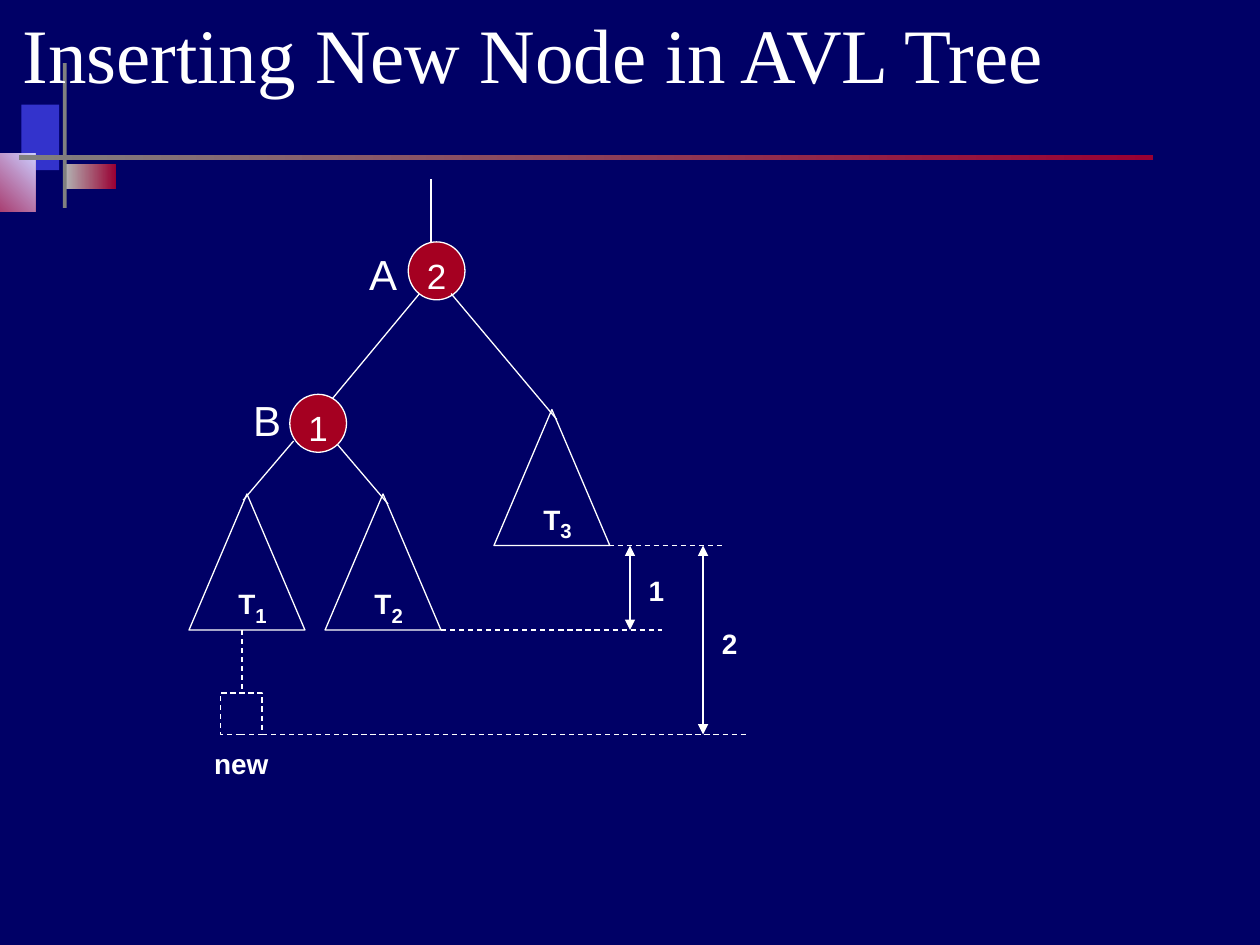
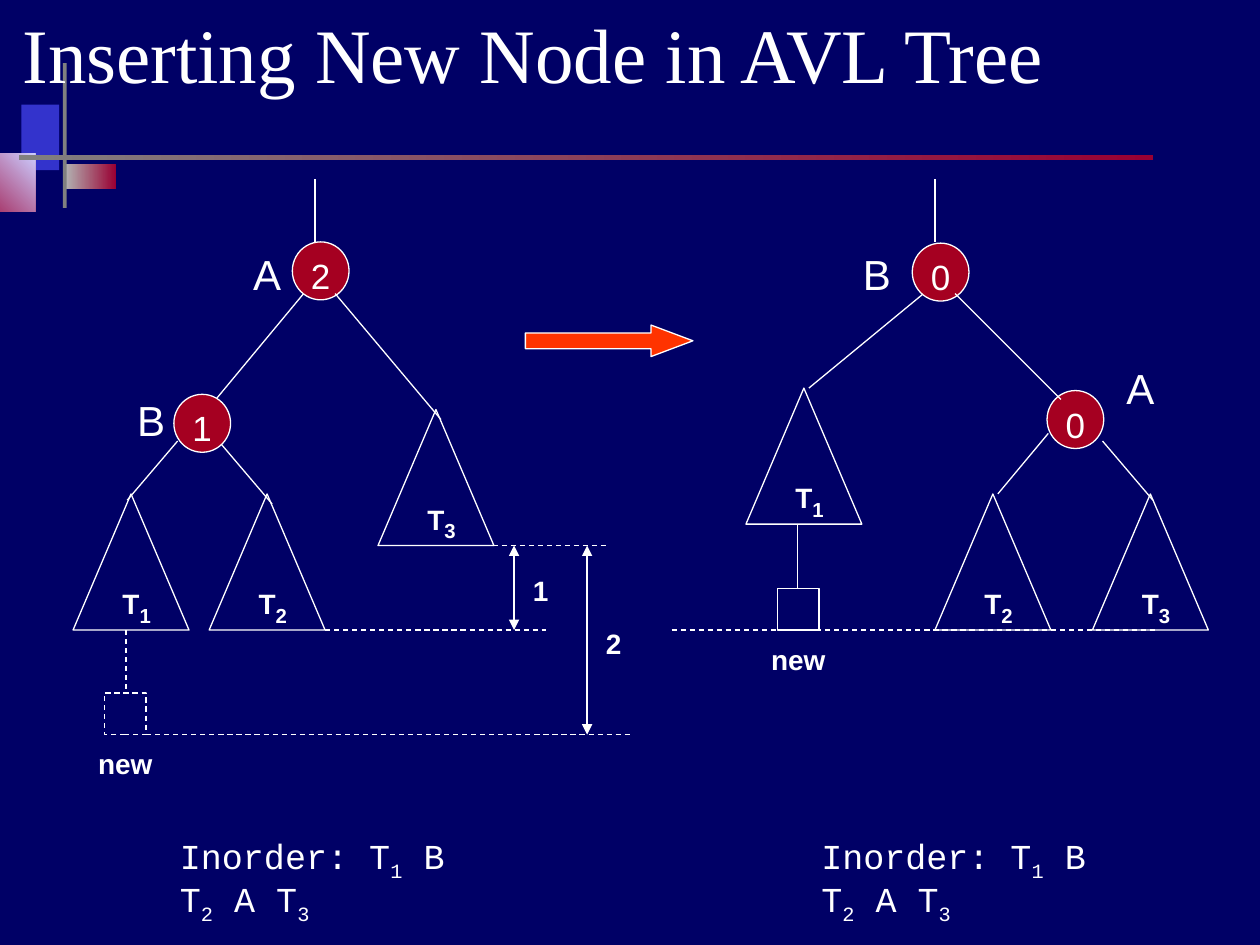
from lxml import etree
from pptx import Presentation
from pptx.dml.color import RGBColor
from pptx.enum import dml, shapes, text
from pptx.oxml import ns
from pptx.util import Inches, Pt

NAVY = RGBColor(0x00, 0x00, 0x66)
WHITE = RGBColor(0xFF, 0xFF, 0xFF)
RED = RGBColor(0xA5, 0x00, 0x21)
ORANGE = RGBColor(0xFF, 0x33, 0x00)
BLUE = RGBColor(0x33, 0x33, 0xCC)
PALE = RGBColor(0xCC, 0xCC, 0xFF)
WINE = RGBColor(0x99, 0x00, 0x33)
GRAY = RGBColor(0x80, 0x80, 0x80)
SILVER = RGBColor(0xB2, 0xB2, 0xB2)

KIND = shapes.MSO_SHAPE
LEFT, MID = text.PP_ALIGN.LEFT, text.PP_ALIGN.CENTER

# Content: an underscore makes the next character a subscript
TITLE = "Inserting New Node in AVL Tree"
ORDER = "Inorder: T_1 B T_2 A T_3"

# Decoration: left, top, width, height, colours, gradient angle
DECOR = [
    (0.17, 0.83, 0.3, 0.52, [BLUE], 0),
    (0.52, 1.3, 0.4, 0.2, [SILVER, WINE], 0),
    (-0.33, 1.22, 0.61, 0.46, [WINE, PALE], 45),
    (0.5, 0.5, 0.03, 1.15, [GRAY], 0),
    (0.15, 1.23, 9, 0.04, [GRAY, WINE], 0),
]

# Trees: the first edge lies behind the nodes, the others in front
BEFORE = {
    "edges": [(3.33, 2.33, 2.5, 3.33), (3.58, 2.33, 4.42, 3.33),
              (2.68, 3.53, 3.08, 4), (2.33, 3.5, 1.93, 3.97),
              (3.42, 1.92, 3.42, 1.42)],
    "nodes": [("2", 3.24, 1.92), ("1", 2.3, 3.13)],
    "names": [("A", 2.83, 1.92), ("B", 1.91, 3.08)],
    "subs": [("T_1", 1.5, 3.92), ("T_3", 3.92, 3.25), ("T_2", 2.58, 3.92)],
    "dashes": [(1.92, 5, 1.92, 5.5), (4.83, 4.33, 5.75, 4.33),
               (3.5, 5, 5.25, 5), (2.08, 5.83, 5.92, 5.83)],
    "new": (1.75, 5.5, True),
    "spans": [("1", 5, 4.33, 5, 4.5), ("2", 5.58, 4.33, 5.83, 4.92)],
}
AFTER = {
    "edges": [(7.33, 2.33, 6.42, 3.08), (7.58, 2.33, 8.42, 3.17),
              (8.75, 3.5, 9.15, 3.97), (8.32, 3.44, 7.92, 3.92),
              (6.33, 4.17, 6.33, 4.67), (7.42, 1.92, 7.42, 1.42)],
    "nodes": [("0", 8.31, 3.1), ("0", 7.24, 1.93)],
    "names": [("A", 8.84, 2.83), ("B", 6.75, 1.92)],
    "subs": [("T_1", 5.92, 3.08), ("T_3", 8.67, 3.92), ("T_2", 7.42, 3.92)],
    "dashes": [(5.33, 5, 9.17, 5)],
    "new": (6.17, 4.67, False),
    "spans": [],
}
SHIFT = -0.92


# Drawing helpers
def stroke(line, dash=False):
    line.color.rgb = WHITE
    line.width = Pt(0.75)
    if dash:
        line.dash_style = dml.MSO_LINE.DASH


def shape(slide, kind, x, y, w, h, fill=None, lined=True, dash=False):
    part = slide.shapes.add_shape(kind, *map(Inches, (x, y, w, h)))
    part.shadow.inherit = False
    if fill is None:
        part.fill.background()
    else:
        part.fill.solid()
        part.fill.fore_color.rgb = fill
    if lined:
        stroke(part.line, dash)
    else:
        part.line.fill.background()
    return part


def link(slide, x1, y1, x2, y2, dash=False, heads=False):
    ends = map(Inches, (x1, y1, x2, y2))
    part = slide.shapes.add_connector(shapes.MSO_CONNECTOR.STRAIGHT, *ends)
    stroke(part.line, dash)
    if heads:
        ln = part.line._get_or_add_ln()
        for tag in ("a:headEnd", "a:tailEnd"):
            etree.SubElement(ln, ns.qn(tag), type="triangle")
    etree.SubElement(part._element.spPr, ns.qn("a:effectLst"))


def write(slide, words, x, y, w, h, size, bold=False, font="Arial",
          align=MID, wrap=True, sub=None):
    box = slide.shapes.add_textbox(*map(Inches, (x, y, w, h)))
    frame = box.text_frame
    frame.word_wrap = wrap
    par = frame.paragraphs[0]
    par.alignment = align
    first, *rest = words.split("_")
    runs = [(first, False)]
    for bit in rest:
        runs += [(bit[0], True), (bit[1:], False)]
    for bit, low in runs:
        if not bit:
            continue
        run = par.add_run()
        run.text = bit
        run.font.name = font
        run.font.size = Pt(sub if low and sub else size)
        run.font.bold = bold
        run.font.color.rgb = WHITE
        if low:
            run.font._element.set("baseline", "-25000")
    return frame


# Shared slide frame
def start(prs):
    slide = prs.slides.add_slide(prs.slide_layouts[6])
    for x, y, w, h, tints, angle in DECOR:
        bar = shape(slide, KIND.RECTANGLE, x, y, w, h, tints[0], lined=False)
        if len(tints) > 1:
            bar.fill.gradient()
            bar.fill.gradient_angle = angle
            for stop, tint, place in zip(bar.fill.gradient_stops, tints, (0, 1)):
                stop.color.rgb = tint
                stop.position = place
    head = write(slide, TITLE, 0.08, -0.08, 9, 1, 44,
                 font="Times New Roman", align=LEFT)
    head.vertical_anchor = text.MSO_ANCHOR.MIDDLE
    return slide


# One tree, moved sideways by dx
def plant(slide, tree, dx=0):
    def join(x1, y1, x2, y2, **look):
        link(slide, x1 + dx, y1, x2 + dx, y2, **look)

    join(*tree["edges"][0])
    for count, x, y in tree["nodes"]:
        shape(slide, KIND.OVAL, x + dx, y, 0.45, 0.46, RED)
        write(slide, count, x + dx - 0.06, y + 0.05, 0.57, 0.44, 20)
    for edge in tree["edges"][1:]:
        join(*edge)
    for name, x, y in tree["names"]:
        write(slide, name, x + dx, y, 0.42, 0.5, 24, wrap=False)
    for name, x, y in tree["subs"]:
        write(slide, name, x + dx + 0.17, y + 0.63, 0.67, 0.48, 16,
              bold=True, sub=20)
        shape(slide, KIND.ISOSCELES_TRIANGLE, x + dx, y, 0.92, 1.08)
    for dash in tree["dashes"]:
        join(*dash, dash=True)

    # New leaf and height differences
    x, y, dash = tree["new"]
    shape(slide, KIND.RECTANGLE, x + dx, y, 0.33, 0.33, dash=dash)
    write(slide, "new", x + dx - 0.17, y + 0.38, 0.67, 0.37, 16, bold=True)
    for gap, x, top, end, y in tree["spans"]:
        join(x, top, x, end, heads=True)
        write(slide, gap, x + dx, y, 0.42, 0.37, 16, bold=True)


def main():
    prs = Presentation()
    prs.slide_width, prs.slide_height = Inches(10), Inches(7.5)
    back = prs.slide_master.background.fill
    back.solid()
    back.fore_color.rgb = NAVY

    # Slide 1: the unbalanced tree
    plant(start(prs), BEFORE)

    # Slide 2: before and after the rotation
    slide = start(prs)
    plant(slide, BEFORE, SHIFT)
    plant(slide, AFTER)
    arrow = shape(slide, KIND.RIGHT_ARROW, 4.17, 2.58, 1.33, 0.25, ORANGE)
    arrow.adjustments[1] = 1.33
    for x in (1.33, 6.42):
        frame = write(slide, ORDER, x, 6.58, 2.67, 0.79, 20,
                      font="Courier New", align=LEFT)
        frame.paragraphs[0].line_spacing = 0.9

    prs.save("out.pptx")


if __name__ == "__main__":
    main()
